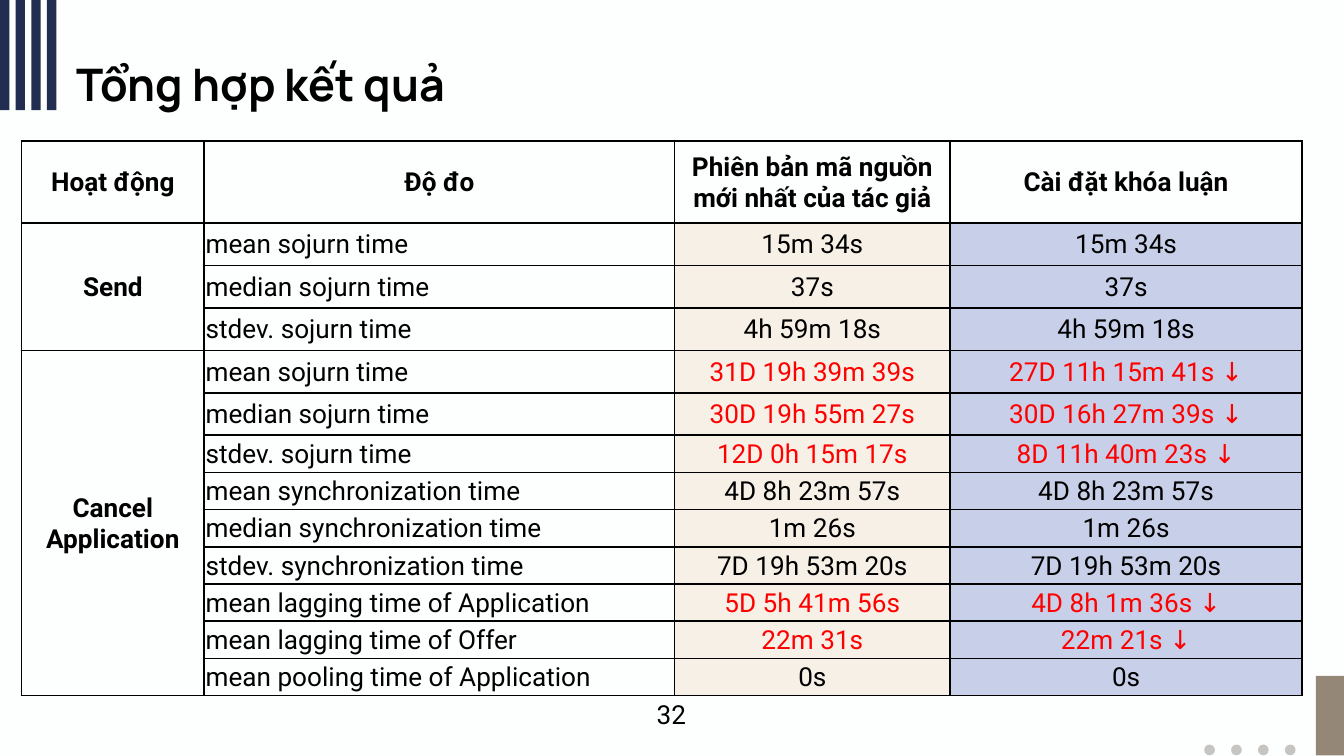
import pptx
import pptx.dml.color
import pptx.enum.shapes
import pptx.enum.text
import pptx.oxml
import pptx.oxml.ns
import pptx.util

Inches = pptx.util.Inches
Pt = pptx.util.Pt
RGBColor = pptx.dml.color.RGBColor
MSO_SHAPE = pptx.enum.shapes.MSO_SHAPE
MSO_ANCHOR = pptx.enum.text.MSO_ANCHOR
PP_ALIGN = pptx.enum.text.PP_ALIGN

PAPER = RGBColor(0xFD, 0xFF, 0xFE)
NAVY = RGBColor(0x21, 0x2E, 0x51)
GREY = RGBColor(0xC7, 0xC5, 0xC1)
BROWN = RGBColor(0x94, 0x87, 0x77)
CREAM = RGBColor(0xF6, 0xF0, 0xE7)
LAVENDER = RGBColor(0xC7, 0xD0, 0xE8)
BLACK = RGBColor(0, 0, 0)
RED = RGBColor(0xFF, 0, 0)

HEADERS = ["Hoạt động", "Độ đo", "Phiên bản mã nguồn mới nhất của tác giả", "Cài đặt khóa luận"]
# Activity -> (measure, author's version, thesis implementation)
RESULTS = {
    "Send": [
        ("mean sojurn time", "15m 34s", "15m 34s"),
        ("median sojurn time", "37s", "37s"),
        ("stdev. sojurn time", "4h 59m 18s", "4h 59m 18s"),
    ],
    "Cancel Application": [
        ("mean sojurn time", "31D 19h 39m 39s", "27D 11h 15m 41s ↓"),
        ("median sojurn time", "30D 19h 55m 27s", "30D 16h 27m 39s ↓"),
        ("stdev. sojurn time", "12D 0h 15m 17s", "8D 11h 40m 23s ↓"),
        ("mean synchronization time", "4D 8h 23m 57s", "4D 8h 23m 57s"),
        ("median synchronization time", "1m 26s", "1m 26s"),
        ("stdev. synchronization time", "7D 19h 53m 20s", "7D 19h 53m 20s"),
        ("mean lagging time of Application", "5D 5h 41m 56s", "4D 8h 1m 36s ↓"),
        ("mean lagging time of Offer", "22m 31s", "22m 21s ↓"),
        ("mean pooling time of Application", "0s", "0s"),
    ],
}
COLUMN_WIDTHS = [1.36, 3.5, 2.05, 2.62]
ROW_HEIGHTS = [0.61] + [1.58 / 5] * 5 + [1.94 / 7] * 7


def style_paragraph(paragraph, size, font_name, color=BLACK, bold=False, align=PP_ALIGN.CENTER):
    paragraph.alignment = align
    paragraph.font.size = Pt(size)
    paragraph.font.name = font_name
    paragraph.font.bold = bold
    paragraph.font.color.rgb = color


def add_block(slide, preset, left, top, width, height, color):
    block = slide.shapes.add_shape(preset, Inches(left), Inches(top), Inches(width), Inches(height))
    block.shadow.inherit = False
    block.fill.solid()
    block.fill.fore_color.rgb = color
    block.line.fill.background()


def add_decoration(slide):
    for i in range(4):
        add_block(slide, MSO_SHAPE.RECTANGLE, i * 0.35 / 3, 0, 0.07, 0.82, NAVY)
        add_block(slide, MSO_SHAPE.OVAL, 8.96 + i * 0.2, 5.54, 0.08, 0.08, GREY)
    add_block(slide, MSO_SHAPE.RECTANGLE, 9.79, 5.03, 0.21, 0.59, BROWN)


def set_title(slide, text):
    title = slide.shapes.title
    title.left, title.top, title.width, title.height = map(Inches, (0.32, 0.32, 4.95, 0.63))
    frame = title.text_frame
    frame.text = text
    frame.auto_size = pptx.enum.text.MSO_AUTO_SIZE.NONE
    frame.vertical_anchor = MSO_ANCHOR.TOP
    frame.margin_left = frame.margin_right = frame.margin_top = frame.margin_bottom = Inches(0.1)
    heading = frame.paragraphs[0]
    heading._p.get_or_add_pPr().set("marL", str(Inches(0.15)))
    style_paragraph(heading, 24, "Manrope", bold=True, align=PP_ALIGN.LEFT)


def add_page_number(slide, number):
    page_box = slide.shapes.add_textbox(Inches(4.72), Inches(5.14), Inches(0.55), Inches(0.34))
    frame = page_box.text_frame
    frame.word_wrap = True
    frame.vertical_anchor = MSO_ANCHOR.MIDDLE
    frame.text = number
    style_paragraph(frame.paragraphs[0], 14, "Roboto")


def add_borders(cell):
    properties = cell._tc.get_or_add_tcPr()
    for position, side in enumerate(("lnL", "lnR", "lnT", "lnB")):
        properties.insert(position, pptx.oxml.parse_xml(
            f'<a:{side} {pptx.oxml.ns.nsdecls("a")} w="{Pt(1)}"><a:solidFill>'
            f'<a:srgbClr val="{BLACK}"/></a:solidFill></a:{side}>'))


def fill_cell(cell, text, fill=PAPER, **style):
    cell.text = text
    cell.vertical_anchor = MSO_ANCHOR.MIDDLE
    cell.margin_left = cell.margin_right = cell.margin_top = Inches(0.01)
    cell.margin_bottom = 0
    cell.fill.solid()
    cell.fill.fore_color.rgb = fill
    style_paragraph(cell.text_frame.paragraphs[0], 14, "Roboto", **style)


def add_results_table(slide):
    table = slide.shapes.add_table(
        len(ROW_HEIGHTS), len(COLUMN_WIDTHS), Inches(0.16), Inches(1.05),
        Inches(sum(COLUMN_WIDTHS)), Inches(sum(ROW_HEIGHTS))).table
    for column, width in zip(table.columns, COLUMN_WIDTHS):
        column.width = Inches(width)
    for row, height in zip(table.rows, ROW_HEIGHTS):
        row.height = Inches(height)

    for c, header in enumerate(HEADERS):
        fill_cell(table.cell(0, c), header, bold=True)

    # Values that differ between the two versions are red
    r = 1
    for activity, measures in RESULTS.items():
        table.cell(r, 0).merge(table.cell(r + len(measures) - 1, 0))
        fill_cell(table.cell(r, 0), activity, bold=True)
        for measure, author, thesis in measures:
            color = BLACK if author == thesis else RED
            fill_cell(table.cell(r, 1), measure, align=PP_ALIGN.LEFT)
            fill_cell(table.cell(r, 2), author, CREAM, color=color)
            fill_cell(table.cell(r, 3), thesis, LAVENDER, color=color)
            r += 1

    for cell in table.iter_cells():
        add_borders(cell)


def main():
    deck = pptx.Presentation()
    deck.slide_width = Inches(10)
    deck.slide_height = Inches(10 * 9 / 16)
    slide = deck.slides.add_slide(deck.slide_layouts[5])
    slide.background.fill.solid()
    slide.background.fill.fore_color.rgb = PAPER

    add_decoration(slide)
    add_page_number(slide, "32")
    set_title(slide, "Tổng hợp kết quả")
    add_results_table(slide)
    deck.save("out.pptx")


if __name__ == "__main__":
    main()
